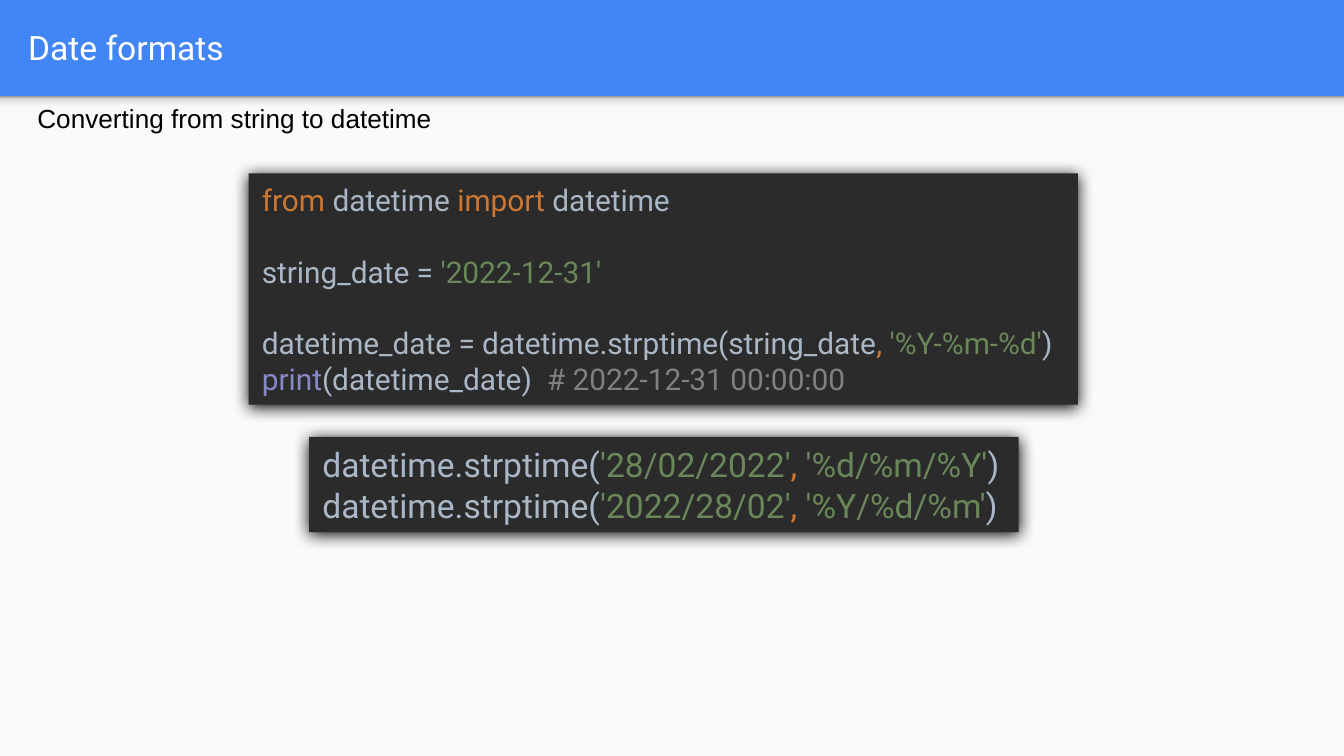
from copy import deepcopy
from dataclasses import dataclass
from typing import NamedTuple

from lxml import etree
from pptx import Presentation
from pptx.dml.color import RGBColor
from pptx.enum.shapes import MSO_SHAPE
from pptx.enum.text import MSO_ANCHOR, MSO_AUTO_SIZE, PP_ALIGN
from pptx.oxml.ns import qn
from pptx.util import Pt

RECTANGLE = MSO_SHAPE.RECTANGLE
MIDDLE = MSO_ANCHOR.MIDDLE
LEFT = PP_ALIGN.LEFT
FIT_SHAPE = MSO_AUTO_SIZE.SHAPE_TO_FIT_TEXT

PX = 4572  # EMU, 200 px to the inch
TITLE_LAYOUT = 5

COLORS = {
    "header": "4285F4",
    "page": "FAFAFA",
    "white": "FFFFFF",
    "black": "000000",
    "editor": "2B2B2B",
    "keyword": "CC7832",
    "name": "A9B7C6",
    "string": "6A8759",
    "builtin": "8888C6",
    "comment": "808080",
}
HEADER_SHADE = [(0, "F9F9F9"), (36, "F9F9F9"), (80, "DEDEDE"), (100, "999999")]


class Box(NamedTuple):
    left: int
    top: int
    width: int
    height: int

    def emu(self) -> list[int]:
        return [length * PX for length in self]


class Token(NamedTuple):
    text: str
    color: str


@dataclass
class CodePanel:
    box: Box
    size: int
    lines: list[list[Token]]


def strptime_call(date: str, pattern: str) -> list[Token]:
    return [
        Token("datetime.strptime(", "name"),
        Token(f"'{date}'", "string"),
        Token(", ", "keyword"),
        Token(f"'{pattern}'", "string"),
        Token(")", "name"),
    ]


PANELS = [
    CodePanel(Box(370, 258, 1234, 344), 16, [
        [Token("from ", "keyword"), Token("datetime ", "name"),
         Token("import ", "keyword"), Token("datetime", "name")],
        [],
        [Token("string_date = ", "name"), Token("'2022-12-31'", "string")],
        [],
        [Token("datetime_date = datetime.strptime(string_date", "name"),
         Token(", ", "keyword"), Token("'%Y-%m-%d'", "string"), Token(")", "name")],
        [Token("print", "builtin"), Token("(datetime_date)  ", "name"),
         Token("# 2022-12-31 00:00:00", "comment")],
    ]),
    CodePanel(Box(460, 650, 1056, 142), 18, [
        strptime_call("28/02/2022", "%d/%m/%Y"),
        strptime_call("2022/28/02", "%Y/%d/%m"),
    ]),
]


def add_span(para, token: Token, size: int, font: str = "Roboto"):
    span = para.add_run()
    span.text = token.text
    span.font.size = Pt(size)
    span.font.name = font
    span.font.color.rgb = RGBColor.from_string(COLORS[token.color])
    return span


def add_rectangle(page, box: Box, color: str):
    shape = page.shapes.add_shape(RECTANGLE, *box.emu())
    shape.shadow.inherit = False
    shape.fill.solid()
    shape.fill.fore_color.rgb = RGBColor.from_string(COLORS[color])
    shape.line.fill.background()
    return shape


def add_color_node(parent, color: str) -> None:
    etree.SubElement(parent, qn("a:srgbClr"), val=color)


def shade_upwards(shape, stops: list[tuple[int, str]]) -> None:
    """Fill with a gradient whose first stop is at the bottom."""
    shape.fill.gradient()
    shape.fill.gradient_angle = 90
    stop_list = shape.element.spPr.find(".//" + qn("a:gsLst"))
    for stop in list(stop_list):
        stop_list.remove(stop)
    for percent, color in stops:
        stop = etree.SubElement(stop_list, qn("a:gs"), pos=str(percent * 1000))
        add_color_node(stop, color)


def add_glow_shadow(shape) -> None:
    """Cast a soft shadow straight down."""
    effects = shape.element.spPr.find(qn("a:effectLst"))
    shadow = etree.SubElement(
        effects, qn("a:outerShdw"), blurRad=str(Pt(8.5)), dist=str(Pt(1)),
        dir="5400000", algn="ctr", rotWithShape="0")
    add_color_node(shadow, COLORS["black"])


def add_code_panel(page, panel: CodePanel) -> None:
    shape = add_rectangle(page, panel.box, "editor")
    add_glow_shadow(shape)
    frame = shape.text_frame
    frame.word_wrap = False
    frame.auto_size = FIT_SHAPE
    frame.vertical_anchor = MIDDLE
    para = frame.paragraphs[0]
    para.alignment = LEFT
    span = None
    for line in panel.lines:
        if span is not None:
            para.add_line_break()
            # A break takes the text size, so that empty code lines keep the pitch
            para._p[-1].append(deepcopy(span._r.rPr))
        for token in line:
            span = add_span(para, token, panel.size)


def set_title(page, text: str) -> None:
    title = page.shapes.title
    title.left, title.top, title.width, title.height = Box(22, 4, 1930, 132).emu()
    frame = title.text_frame
    frame.vertical_anchor = MIDDLE
    frame.margin_left = frame.margin_right = 20 * PX
    frame.margin_top = frame.margin_bottom = 20 * PX
    para = frame.paragraphs[0]
    para.alignment = LEFT
    add_span(para, Token(text, "white"), 18)


def add_subtitle(page, text: str) -> None:
    frame = page.shapes.add_textbox(*Box(36, 142, 1172, 68).emu()).text_frame
    frame.word_wrap = True
    frame.auto_size = FIT_SHAPE
    add_span(frame.paragraphs[0], Token(text, "black"), 14, "Arial")


def main() -> None:
    deck = Presentation()
    deck.slide_width, deck.slide_height = 2000 * PX, 1125 * PX
    page = deck.slides.add_slide(deck.slide_layouts[TITLE_LAYOUT])
    page.background.fill.solid()
    page.background.fill.fore_color.rgb = RGBColor.from_string(COLORS["header"])

    add_rectangle(page, Box(0, 143, 2000, 982), "page")
    shade_upwards(add_rectangle(page, Box(0, 143, 2000, 24), "page"), HEADER_SHADE)
    set_title(page, "Date formats")
    for panel in PANELS:
        add_code_panel(page, panel)
    add_subtitle(page, "Converting from string to datetime")
    deck.save("out.pptx")


if __name__ == "__main__":
    main()
